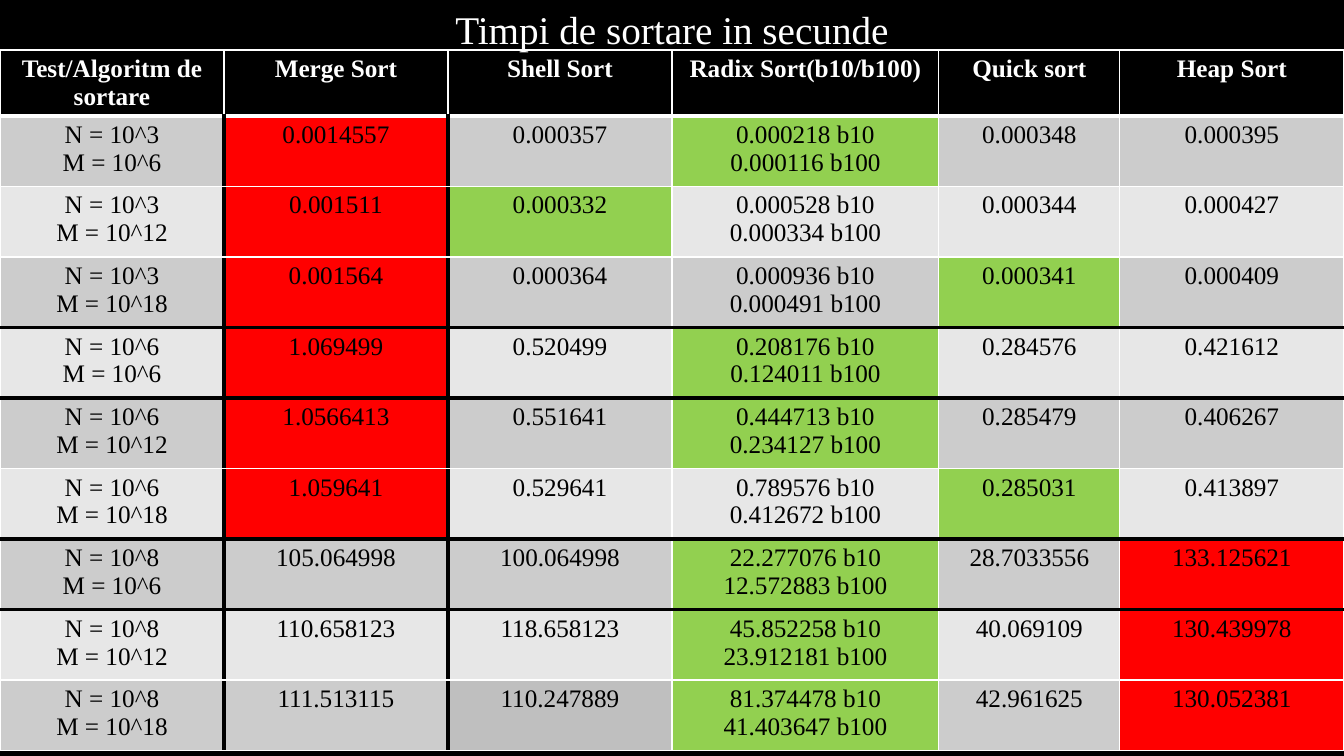
import lxml.etree
import pptx
import pptx.dml.color
import pptx.enum.text
import pptx.oxml.ns
import pptx.util

RGBColor = pptx.dml.color.RGBColor
BLACK = RGBColor(0x00, 0x00, 0x00)
WHITE = RGBColor(0xFF, 0xFF, 0xFF)
DARK_BAND = RGBColor(0xCC, 0xCC, 0xCC)
LIGHT_BAND = RGBColor(0xE7, 0xE7, 0xE7)
SHADED = RGBColor(0xBF, 0xBF, 0xBF)
FASTEST = RGBColor(0x92, 0xD0, 0x50)
SLOWEST = RGBColor(0xFF, 0x00, 0x00)

HEADING = "Timpi de sortare in secunde"
ALGORITHMS = ["Test/Algoritm de sortare", "Merge Sort", "Shell Sort",
              "Radix Sort(b10/b100)", "Quick sort", "Heap Sort"]
TIMINGS = [
    ("N = 10^3\nM = 10^6", "0.0014557", "0.000357", "0.000218 b10\n0.000116 b100", "0.000348", "0.000395"),
    ("N = 10^3\nM = 10^12", "0.001511", "0.000332", "0.000528 b10\n0.000334 b100", "0.000344", "0.000427"),
    ("N = 10^3\nM = 10^18", "0.001564", "0.000364", "0.000936 b10\n0.000491 b100", "0.000341", "0.000409"),
    ("N = 10^6\nM = 10^6", "1.069499", "0.520499", "0.208176 b10\n0.124011 b100", "0.284576", "0.421612"),
    ("N = 10^6\nM = 10^12", "1.0566413", "0.551641", "0.444713 b10\n0.234127 b100", "0.285479", "0.406267"),
    ("N = 10^6\nM = 10^18", "1.059641", "0.529641", "0.789576 b10\n0.412672 b100", "0.285031", "0.413897"),
    ("N = 10^8\nM = 10^6", "105.064998", "100.064998", "22.277076 b10\n12.572883 b100", "28.7033556", "133.125621"),
    ("N = 10^8\nM = 10^12", "110.658123", "118.658123", "45.852258 b10\n23.912181 b100", "40.069109", "130.439978"),
    ("N = 10^8\nM = 10^18", "111.513115", "110.247889", "81.374478 b10\n41.403647 b100", "42.961625", "130.052381"),
]
SHADED_CELL = (9, 2)
BLACK_BELOW_ROWS = {3, 4, 6, 7}
BLACK_BEFORE_COLUMNS = {1, 2}

SLIDE_WIDTH, SLIDE_HEIGHT = 1344, 756
COLUMN_WIDTHS = [224, 224, 224, 267, 181, 224]
TABLE_TOP, HEADER_HEIGHT, BODY_HEIGHT = 50, 65, 635
HEADING_BOX = (355, 0, 634, 57)
FONT = "Times New Roman"


def px(length):
    return pptx.util.Emu(round(length * 12192000 / SLIDE_WIDTH))


def style_text(frame, size, color, bold=False):
    for paragraph in frame.paragraphs:
        paragraph.alignment = pptx.enum.text.PP_ALIGN.CENTER
        for run in paragraph.runs:
            run.font.name = FONT
            run.font.size = pptx.util.Pt(size)
            run.font.bold = bold
            run.font.color.rgb = color


def row_edge(row):
    if row == 0:
        return WHITE, 3
    return (BLACK, 3) if row in BLACK_BELOW_ROWS else (WHITE, 1)


def column_edge(row, column):
    return (BLACK, 3) if row and column in BLACK_BEFORE_COLUMNS else (WHITE, 1)


def draw_borders(cell, row, column):
    edges = {
        "a:lnL": column_edge(row, column),
        "a:lnR": column_edge(row, column + 1),
        "a:lnT": row_edge(row - 1),
        "a:lnB": row_edge(row),
    }
    qn = pptx.oxml.ns.qn
    properties = cell._tc.get_or_add_tcPr()
    for tag, (color, points) in edges.items():
        line = lxml.etree.SubElement(properties, qn(tag), w=str(pptx.util.Pt(points)))
        fill = lxml.etree.SubElement(line, qn("a:solidFill"))
        lxml.etree.SubElement(fill, qn("a:srgbClr"), val=str(color))


def seconds(timing):
    return float(timing.split("\n")[-1].split()[0])


def cell_fill(row, column):
    if row == 0:
        return BLACK
    if (row, column) == SHADED_CELL:
        return SHADED
    results = [seconds(timing) for timing in TIMINGS[row - 1][1:]]
    if column and results[column - 1] == min(results):
        return FASTEST
    if column and results[column - 1] == max(results):
        return SLOWEST
    return DARK_BAND if row % 2 else LIGHT_BAND


def add_timings(slide):
    rows = [ALGORITHMS] + TIMINGS
    table = slide.shapes.add_table(
        len(rows), len(ALGORITHMS), 0, px(TABLE_TOP),
        px(SLIDE_WIDTH), px(HEADER_HEIGHT + BODY_HEIGHT)).table
    for column, width in enumerate(COLUMN_WIDTHS):
        table.columns[column].width = px(width)
    for row, texts in enumerate(rows):
        table.rows[row].height = px(BODY_HEIGHT / len(TIMINGS) if row else HEADER_HEIGHT)
        for column, text in enumerate(texts):
            cell = table.cell(row, column)
            cell.text_frame.text = text
            style_text(cell.text_frame, 18, BLACK if row else WHITE, bold=row == 0)
            draw_borders(cell, row, column)
            cell.fill.solid()
            cell.fill.fore_color.rgb = cell_fill(row, column)


def add_heading(slide):
    heading = slide.shapes.title
    heading.left, heading.top, heading.width, heading.height = map(px, HEADING_BOX)
    frame = heading.text_frame
    frame.text = HEADING
    frame.word_wrap = True
    frame.auto_size = pptx.enum.text.MSO_AUTO_SIZE.NONE
    frame.vertical_anchor = pptx.enum.text.MSO_ANCHOR.TOP
    style_text(frame, 28, WHITE)
    heading.element.getparent().append(heading.element)


def main():
    deck = pptx.Presentation()
    deck.slide_width, deck.slide_height = px(SLIDE_WIDTH), px(SLIDE_HEIGHT)
    slide = deck.slides.add_slide(deck.slide_layouts[5])
    slide.background.fill.solid()
    slide.background.fill.fore_color.rgb = BLACK
    add_timings(slide)
    add_heading(slide)
    deck.save("out.pptx")


if __name__ == "__main__":
    main()
